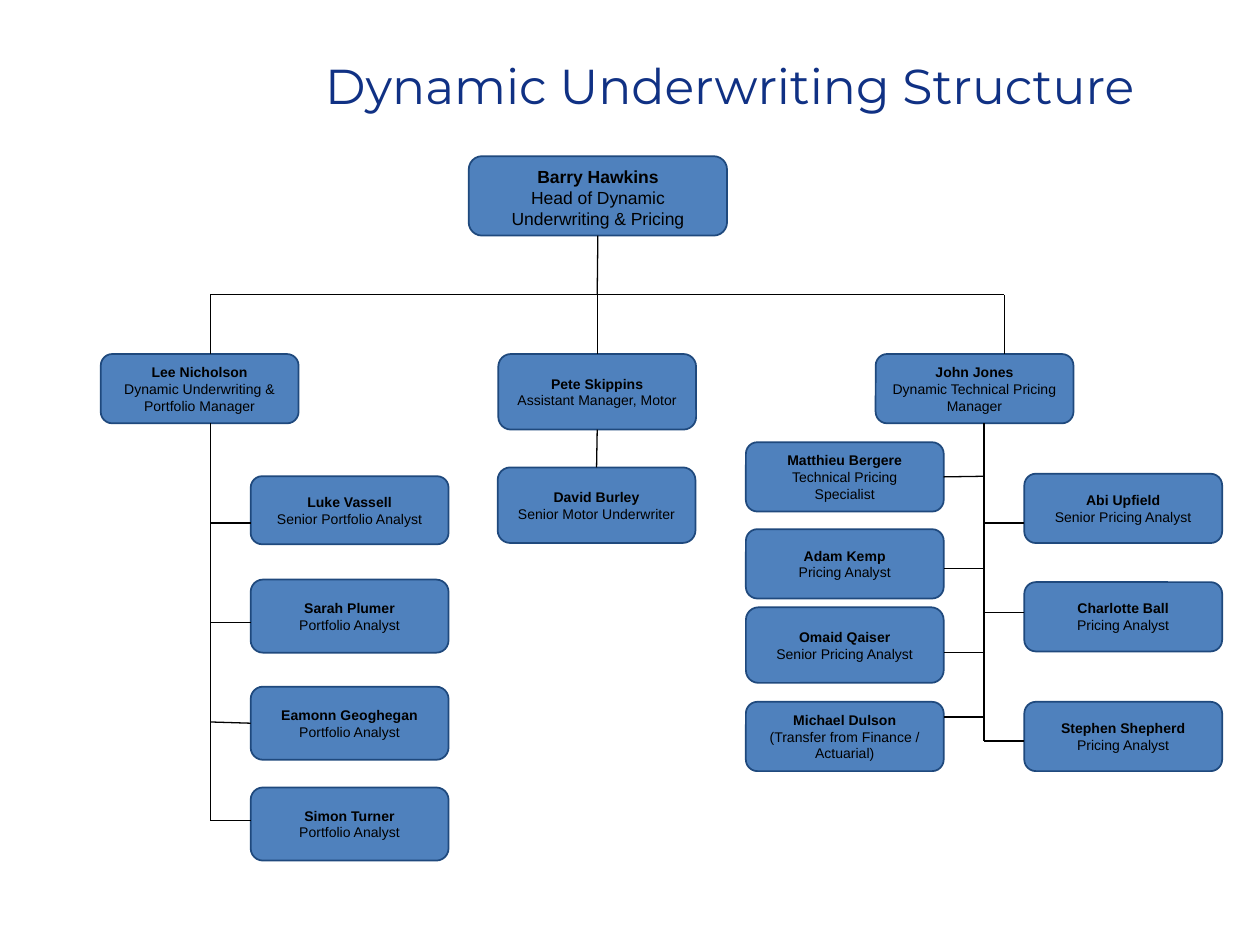
from dataclasses import dataclass

from lxml import etree
from pptx import Presentation
from pptx.dml.color import RGBColor as RGB
from pptx.enum.shapes import MSO_CONNECTOR as LINE, MSO_SHAPE as SHAPE
from pptx.enum.text import MSO_ANCHOR as ANCHOR, PP_ALIGN as ALIGN
from pptx.oxml.ns import qn
from pptx.util import Inches, Pt


@dataclass(frozen=True)
class Theme:
    navy: RGB = RGB(0x10, 0x31, 0x84)
    fill: RGB = RGB(0x4F, 0x81, 0xBD)
    edge: RGB = RGB(0x1F, 0x49, 0x7D)
    ink: RGB = RGB(0, 0, 0)
    title: int = 28
    head: int = 10
    body: int = 8


THEME = Theme()
TOP, BOTTOM = 0, 2
CARD_W = 1.57
RUNG = 0.32     # length of a line from a spine to a card
NEAR = 0.02     # a rung this close to a card's middle is joined to it

# side, card top, card height, rung height, name, role; heights run from the spine's top
PORTFOLIO = [
    ("right", 0.42, 0.54, 0.79, "Luke Vassell", "Senior Portfolio Analyst"),
    ("right", 1.24, 0.58, 1.58, "Sarah Plumer", "Portfolio Analyst"),
    ("right", 2.09, 0.58, 2.37, "Eamonn Geoghegan", "Portfolio Analyst"),
    ("right", 2.89, 0.58, 3.15, "Simon Turner", "Portfolio Analyst"),
]
PRICING = [
    ("left", 0.15, 0.55, 0.42, "Matthieu Bergere", "Technical Pricing Specialist"),
    ("left", 0.84, 0.55, 1.15, "Adam Kemp", "Pricing Analyst"),
    ("left", 1.46, 0.6, 1.82, "Omaid Qaiser", "Senior Pricing Analyst"),
    ("left", 2.21, 0.55, 2.33, "Michael Dulson", "(Transfer from Finance / Actuarial)"),
    ("right", 0.4, 0.55, 0.79, "Abi Upfield", "Senior Pricing Analyst"),
    ("right", 1.26, 0.55, 1.5, "Charlotte Ball", "Pricing Analyst"),
    ("right", 2.21, 0.55, 2.52, "Stephen Shepherd", "Pricing Analyst"),
]


def write(par, text, size, font="Arial", color=THEME.ink, bold=False, align=ALIGN.CENTER):
    par.alignment = align
    run = par.add_run()
    run.text = text
    run.font.size = Pt(size)
    run.font.name = font
    run.font.bold = bold
    run.font.color.rgb = color


def add_title(slide, box, text):
    frame = slide.shapes.add_textbox(*map(Inches, box)).text_frame
    frame.word_wrap = True
    frame.margin_top = Inches(0.58)
    write(frame.paragraphs[0], text, THEME.title, font="Montserrat",
          color=THEME.navy, align=ALIGN.RIGHT)


def add_card(slide, box, name, role, size=THEME.body):
    card = slide.shapes.add_shape(SHAPE.ROUNDED_RECTANGLE, *map(Inches, box))
    card.shadow.inherit = False
    card.fill.solid()
    card.fill.fore_color.rgb = THEME.fill
    card.line.color.rgb = THEME.edge
    card.line.width = Pt(1)
    frame = card.text_frame
    frame.word_wrap = True
    frame.vertical_anchor = ANCHOR.MIDDLE
    write(frame.paragraphs[0], name, size, bold=True)
    write(frame.add_paragraph(), role, size)
    return card


def add_line(slide, start, end, first=None, last=None):
    """Draw a line; first and last are (card, side) pairs to join its ends to."""
    line = slide.shapes.add_connector(LINE.STRAIGHT, *map(Inches, (*start, *end)))
    line.line.color.rgb = THEME.ink
    line.line.width = Pt(0.75)
    etree.SubElement(line._element.spPr, qn("a:effectLst"))
    if first:
        line.begin_connect(*first)
    if last:
        line.end_connect(*last)


def add_team(slide, box, staff):
    """Hang staff from a spine that runs down the middle of the box."""
    left, top, width, height = box
    spine = left + width / 2
    add_line(slide, (spine, top), (spine, top + height))
    for side, drop, tall, rung, name, role in staff:
        right = side == "right"
        edge = spine + (RUNG if right else -RUNG)
        x = edge if right else edge - CARD_W
        card = add_card(slide, (x, top + drop, CARD_W, tall), name, role)
        near = abs(drop + tall / 2 - rung) < NEAR
        joint = (card, 1 if right else 3) if near else None
        add_line(slide, (spine, top + rung), (edge, top + rung), last=joint)


def add_leaders(slide, box):
    """Place the head, the bar below, and the three managers."""
    left, top, width, height = box
    mid, bar, row = left + 3.94, top + 1.1, top + 1.57
    head = add_card(slide, (mid - 1.02, top, 2.05, 0.63), "Barry Hawkins",
                    "Head of Dynamic Underwriting & Pricing", size=THEME.head)
    head.text_frame.margin_top = Inches(0.08)
    add_card(slide, (left, row, CARD_W, 0.55), "Lee Nicholson",
             "Dynamic Underwriting & Portfolio Manager")
    pete = add_card(slide, (mid - CARD_W / 2, row, CARD_W, 0.6), "Pete Skippins",
                    "Assistant Manager, Motor")
    add_card(slide, (left + width - CARD_W, row, CARD_W, 0.55), "John Jones",
             "Dynamic Technical Pricing Manager")
    ends = left + 0.87, left + 7.17
    add_line(slide, (ends[0], bar), (ends[1], bar))
    for x in ends:
        add_line(slide, (x, bar), (x, row))
    add_line(slide, (mid, top + 0.63), (mid, bar), first=(head, BOTTOM))
    add_line(slide, (mid, bar), (mid, row), last=(pete, TOP))
    return pete


def add_motor(slide, box, boss):
    left, top, width, height = box
    mid = left + width / 2
    david = add_card(slide, box, "David Burley", "Senior Motor Underwriter")
    add_line(slide, (mid, top - 0.3), (mid, top), first=(boss, BOTTOM), last=(david, TOP))


def main():
    deck = Presentation()
    deck.slide_width, deck.slide_height = Inches(10), Inches(7.5)
    slide = deck.slides.add_slide(deck.slide_layouts[6])
    add_title(slide, (0, -0.14, 9.1, 1.25), "Dynamic Underwriting Structure")
    pete = add_leaders(slide, (0.8, 1.24, 7.72, 2.17))
    add_motor(slide, (3.95, 3.71, CARD_W, 0.6), pete)
    reach = 2 * (RUNG + CARD_W)
    for spine, height, staff in ((1.67, 3.15, PORTFOLIO), (7.81, 2.52, PRICING)):
        add_team(slide, (spine - reach / 2, 3.36, reach, height), staff)
    deck.save("out.pptx")


if __name__ == "__main__":
    main()
